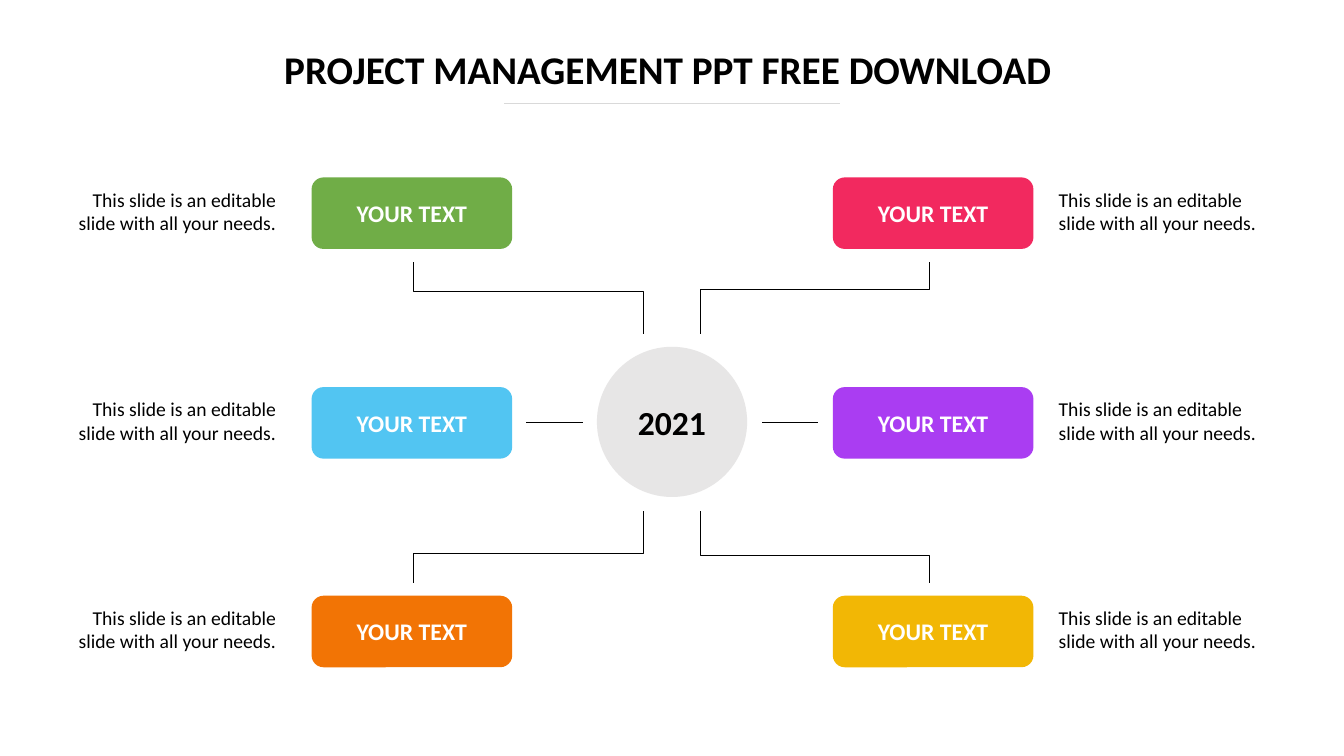
"""Build a slide with a central year hub linked to six labelled topics."""
import dataclasses

import lxml.etree
import pptx
import pptx.dml.color
import pptx.dml.fill
import pptx.dml.line
import pptx.enum.shapes
import pptx.enum.text
import pptx.oxml.ns
import pptx.shapes.autoshape
import pptx.slide
import pptx.text.text
import pptx.util

PX = 9144
ROW_TOPS = (176, 384, 591)
HUB_Y = 419
BOX_W, BOX_H = 199, 71
ALIGN = pptx.enum.text.PP_ALIGN
ANCHOR = pptx.enum.text.MSO_ANCHOR
SHAPE = pptx.enum.shapes.MSO_SHAPE


@dataclasses.dataclass(frozen=True)
class Theme:
    """Hold the colours, font and type sizes of the slide."""
    font: str = "Calibri"
    ink: str = "000000"
    paper: str = "FFFFFF"
    rule: str = "D9D9D9"
    hub: str = "E7E6E6"
    left: tuple[str, ...] = ("70AD47", "52C5F2", "F27405")
    right: tuple[str, ...] = ("F2295F", "AA3DF2", "F2B705")
    title_pt: int = 28
    hub_pt: int = 24
    label_pt: int = 17
    note_pt: int = 14
    rule_pt: float = 0.5
    link_pt: float = 0.75


@dataclasses.dataclass(frozen=True)
class Side:
    """Describe one column of topics and its links to the hub."""
    colors: tuple[str, ...]
    box_left: int
    note_left: int
    note_align: pptx.enum.text.PP_ALIGN
    stub: tuple[int, int]
    elbow_box_x: int
    elbow_hub_x: int
    elbow_bend_y: int


THEME = Theme()
SIDES = (
    Side(THEME.left, 309, 62, ALIGN.RIGHT, (522, 578), 410, 638, 289),
    Side(THEME.right, 826, 1050, ALIGN.LEFT, (756, 811), 922, 695, 287),
)


def px(*values: int) -> list[pptx.util.Emu]:
    """Turn px lengths into EMU."""
    return [pptx.util.Emu(v * PX) for v in values]


def rgb(color: str) -> pptx.dml.color.RGBColor:
    """Turn a hex string into a colour."""
    return pptx.dml.color.RGBColor.from_string(color)


def paint(fill: pptx.dml.fill.FillFormat, color: str) -> None:
    """Set a solid fill."""
    fill.solid()
    fill.fore_color.rgb = rgb(color)


def stroke(line: pptx.dml.line.LineFormat, color: str, width: float) -> None:
    """Set the colour and width of a line."""
    paint(line.fill, color)
    line.width = pptx.util.Pt(width)


def write(tf: pptx.text.text.TextFrame, text: str, size: int, color: str,
          align: pptx.enum.text.PP_ALIGN, bold: bool = True) -> None:
    """Write one formatted run into a text frame."""
    tf.word_wrap = True
    p = tf.paragraphs[0]
    p.alignment = align
    r = p.add_run()
    r.text = text
    r.font.name = THEME.font
    r.font.size = pptx.util.Pt(size)
    r.font.bold = bold
    r.font.color.rgb = rgb(color)


def add_title(s: pptx.slide.Slide, text: str) -> None:
    """Place and fill the title placeholder."""
    sp = s.shapes.title
    sp.left, sp.top, sp.width, sp.height = px(163, 40, 1007, 57)
    tf = sp.text_frame
    tf.auto_size = pptx.enum.text.MSO_AUTO_SIZE.NONE
    tf.vertical_anchor = ANCHOR.TOP
    write(tf, text, THEME.title_pt, THEME.ink, ALIGN.CENTER)


def add_line(s: pptx.slide.Slide, x1: int, x2: int, y: int,
             color: str, width: float) -> None:
    """Draw a horizontal line."""
    straight = pptx.enum.shapes.MSO_CONNECTOR.STRAIGHT
    cxn = s.shapes.add_connector(straight, *px(x1, y, x2, y))
    stroke(cxn.line, color, width)
    sp_pr = cxn.element.find(pptx.oxml.ns.qn("p:spPr"))
    lxml.etree.SubElement(sp_pr, pptx.oxml.ns.qn("a:effectLst"))


def add_elbow(s: pptx.slide.Slide, points: list[tuple[int, int]]) -> None:
    """Draw an open bent link."""
    builder = s.shapes.build_freeform(*points[0], scale=PX)
    builder.add_line_segments(points[1:], close=False)
    sp = builder.convert_to_shape()
    sp.shadow.inherit = False
    sp.fill.background()
    stroke(sp.line, THEME.ink, THEME.link_pt)


def add_label(s: pptx.slide.Slide, kind: pptx.enum.shapes.MSO_SHAPE,
              box: tuple[int, int, int, int], fill: str, text: str,
              size: int, color: str) -> pptx.shapes.autoshape.Shape:
    """Draw a filled shape with a centred label."""
    sp = s.shapes.add_shape(kind, *px(*box))
    sp.shadow.inherit = False
    paint(sp.fill, fill)
    sp.line.fill.background()
    sp.text_frame.vertical_anchor = ANCHOR.MIDDLE
    write(sp.text_frame, text, size, color, ALIGN.CENTER)
    return sp


def add_note(s: pptx.slide.Slide, left: int, top: int,
             align: pptx.enum.text.PP_ALIGN) -> None:
    """Add the description beside a topic."""
    tf = s.shapes.add_textbox(*px(left, top, 212, 50)).text_frame
    tf.margin_left = tf.margin_right = tf.margin_top = tf.margin_bottom = 0
    write(tf, "This slide is an editable slide with all your needs.",
          THEME.note_pt, THEME.ink, align, bold=False)


def add_side(s: pptx.slide.Slide, side: Side) -> None:
    """Draw one column of topics with notes and links."""
    for top, color in zip(ROW_TOPS, side.colors):
        sp = add_label(s, SHAPE.ROUNDED_RECTANGLE,
                       (side.box_left, top, BOX_W, BOX_H), color,
                       "YOUR TEXT", THEME.label_pt, THEME.paper)
        sp.adjustments[0] = 0.167
        add_note(s, side.note_left, top + 10, side.note_align)
    add_line(s, *side.stub, HUB_Y, THEME.ink, THEME.link_pt)
    upper = [(side.elbow_box_x, 260), (side.elbow_box_x, side.elbow_bend_y),
             (side.elbow_hub_x, side.elbow_bend_y), (side.elbow_hub_x, 331)]
    add_elbow(s, upper)
    add_elbow(s, [(x, 2 * HUB_Y - y) for x, y in upper])


def main() -> None:
    """Build and save the presentation."""
    prs = pptx.Presentation()
    prs.slide_width, prs.slide_height = px(1333, 750)
    s = prs.slides.add_slide(prs.slide_layouts[5])
    paint(s.background.fill, THEME.paper)
    add_title(s, "PROJECT MANAGEMENT PPT FREE DOWNLOAD ")
    add_line(s, 500, 833, 103, THEME.rule, THEME.rule_pt)
    add_label(s, SHAPE.OVAL, (592, 344, 149, 149), THEME.hub,
              "2021", THEME.hub_pt, THEME.ink)
    for side in SIDES:
        add_side(s, side)
    prs.save("out.pptx")


if __name__ == "__main__":
    main()
